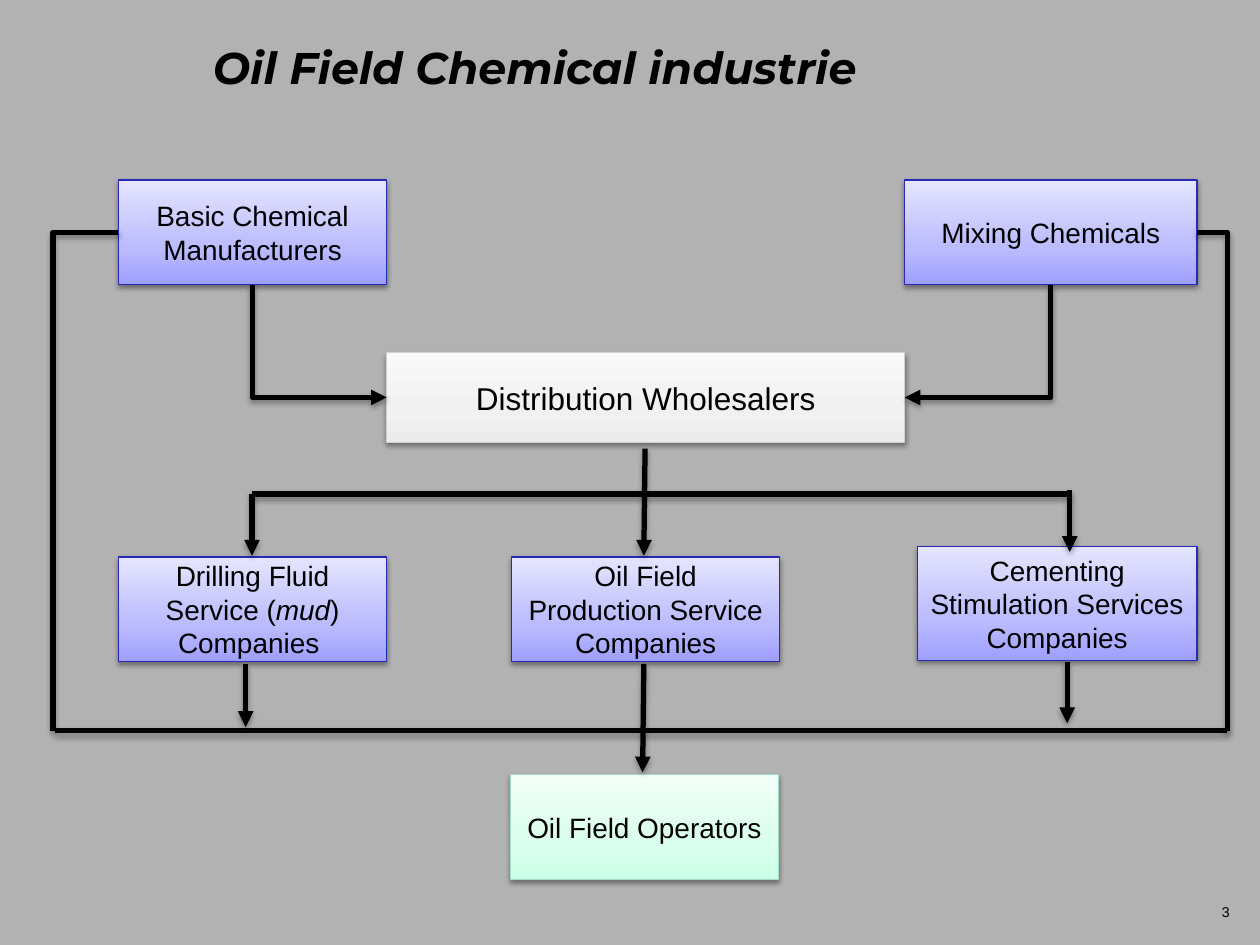
"""Build a flow chart slide of the oil field chemical supply chain."""
from copy import deepcopy

from lxml import etree
from pptx import Presentation
from pptx.dml.color import RGBColor
from pptx.enum.shapes import MSO_CONNECTOR, MSO_SHAPE
from pptx.enum.text import MSO_ANCHOR, PP_ALIGN
from pptx.oxml.ns import qn
from pptx.util import Inches, Pt

RECTANGLE = MSO_SHAPE.RECTANGLE
STRAIGHT, ELBOW = MSO_CONNECTOR.STRAIGHT, MSO_CONNECTOR.ELBOW
TOP, MIDDLE = MSO_ANCHOR.TOP, MSO_ANCHOR.MIDDLE
LEFT, CENTER, RIGHT = PP_ALIGN.LEFT, PP_ALIGN.CENTER, PP_ALIGN.RIGHT
SITE_LEFT, SITE_BOTTOM, SITE_RIGHT = 1, 2, 3

BLACK = RGBColor(0x00, 0x00, 0x00)
GREY = RGBColor(0xB2, 0xB2, 0xB2)
STOPS = (0, 0.35, 1)
BLUE_BOX = ("9F9FFF", "BBBBFF", "E5E5FF"), RGBColor(0x29, 0x29, 0xB8)
WHITE_BOX = ("EBEBEB", "F1F1F1", "F9F9F9"), RGBColor(0xD0, 0xD0, 0xD0)
GREEN_BOX = ("CCFFE8", "DAFFEE", "F1FFF8"), RGBColor(0xA5, 0xDE, 0xC6)

WIDTH, HEIGHT = 10, 7.5
BOX_WIDTH, BOX_HEIGHT = 2.13, 0.83
COLUMN_1, COLUMN_2, COLUMN_3 = 0.94, 4.06, 7.18
RIGHT_EDGE = 9.5
MAKERS, WHOLESALE, SERVICES, OPERATORS = 1.43, 2.8, 4.42, 6.15
SERVICES_END = SERVICES + BOX_HEIGHT
BRANCH, COLLECTOR = 3.92, 5.8
RAIL_LEFT, RAIL_RIGHT = 0.42, 9.74

TITLE = [("Oil Field Chemical industrie", {"bold": True, "italic": True})]
TEXTS = [
    (TITLE, (1.58, 0.08, 8.16, 0.9), LEFT, MIDDLE, "Montserrat", 25.3),
    ([("3", {})], (7.79, 7.11, 2.08, 0.39), RIGHT, TOP, "Arial", 8.1),
]
MUD = [("Drilling Fluid Service (", {}), ("mud", {"italic": True}), (") Companies ", {})]
BOXES = {
    "wholesalers": ([("Distribution Wholesalers", {})],
                    (COLUMN_1 + BOX_WIDTH, WHOLESALE, 4.11, 0.71), WHITE_BOX, 18),
    "basic": ([("Basic Chemical Manufacturers", {})],
              (COLUMN_1, MAKERS, BOX_WIDTH, BOX_HEIGHT), BLUE_BOX, 16),
    "mixing": ([("Mixing Chemicals", {})],
               (COLUMN_3, MAKERS, RIGHT_EDGE - COLUMN_3, BOX_HEIGHT), BLUE_BOX, 16),
    "drilling": (MUD, (COLUMN_1, SERVICES, BOX_WIDTH, BOX_HEIGHT), BLUE_BOX, 16),
    "production": ([("Oil Field Production Service Companies", {})],
                   (COLUMN_2, SERVICES, BOX_WIDTH, BOX_HEIGHT), BLUE_BOX, 16),
    "cementing": ([("Cementing Stimulation Services Companies", {})],
                  (7.28, 4.34, 2.22, 0.9), BLUE_BOX, 16),
    "operators": ([("Oil Field Operators", {})],
                  (4.05, OPERATORS, BOX_WIDTH, BOX_HEIGHT), GREEN_BOX, 16),
}
LINES = [
    ((5.12, 3.56), (5.11, 4.41), "tailEnd"),
    ((5.11, 5.27), (5.1, 6.13), "tailEnd"),
    ((2, BRANCH), (8.49, BRANCH), None),
    ((2, BRANCH), (2, 4.41), "tailEnd"),
    ((8.49, 3.89), (8.49, 4.38), "tailEnd"),
    ((8.47, SERVICES_END), (8.47, 5.74), "tailEnd"),
    ((1.95, 5.27), (1.95, 5.77), "tailEnd"),
    ((0.44, COLLECTOR), (RAIL_RIGHT, COLLECTOR), None),
]
ELBOWS = [
    ("wholesalers", SITE_LEFT, "basic", SITE_BOTTOM),
    ("wholesalers", SITE_RIGHT, "mixing", SITE_BOTTOM),
]
RAILS = [("basic", SITE_LEFT, RAIL_LEFT), ("mixing", SITE_RIGHT, RAIL_RIGHT)]


def add_shadow(item, opacity, distance):
    properties = item._element.spPr
    effects = etree.SubElement(properties, qn("a:effectLst"))
    shadow = etree.SubElement(effects, qn("a:outerShdw"), blurRad=str(Pt(3.1)),
                              dist=str(Pt(distance)), dir="5400000", rotWithShape="0")
    color = etree.SubElement(shadow, qn("a:srgbClr"), val=str(BLACK))
    etree.SubElement(color, qn("a:alpha"), val=str(opacity * 1000))


def write(frame, spans, align, anchor, font, size):
    frame.word_wrap = True
    frame.vertical_anchor = anchor
    para = frame.paragraphs[0]
    para.alignment = align
    for words, extra in spans:
        span = para.add_run()
        span.text = words
        span.font.color.rgb = BLACK
        for name, value in {"name": font, "size": Pt(size), **extra}.items():
            setattr(span.font, name, value)


def add_text(page, spans, place, align, anchor, font, size):
    frame = page.shapes.add_textbox(*map(Inches, place)).text_frame
    margins = {"margin_left": 0.11, "margin_right": 0.11,
               "margin_top": 0.06, "margin_bottom": 0.06}
    for name, value in margins.items():
        setattr(frame, name, Inches(value))
    write(frame, spans, align, anchor, font, size)


def add_box(page, spans, place, style, size):
    colors, border = style
    box = page.shapes.add_shape(RECTANGLE, *map(Inches, place))
    box.fill.gradient()
    box.fill.gradient_angle = 90
    first = box.fill._fill._gradFill.gsLst[0]
    first.addnext(deepcopy(first))
    for stop, position, color in zip(box.fill.gradient_stops, STOPS, colors):
        stop.position = position
        stop.color.rgb = RGBColor.from_string(color)
    box.line.color.rgb = border
    box.line.width = Pt(0.75)
    add_shadow(box, 38, 1.6)
    write(box.text_frame, spans, CENTER, MIDDLE, "Arial", size)
    return box


def add_line(page, kind, start, end, arrow=None):
    line = page.shapes.add_connector(kind, *map(Inches, start + end))
    line.line.color.rgb = BLACK
    line.line.width = Pt(3)
    if arrow:
        etree.SubElement(line.line._get_or_add_ln(), qn("a:" + arrow), type="triangle")
    if kind == ELBOW:
        line._element.spPr.find(qn("a:prstGeom")).set("prst", "bentConnector2")
    add_shadow(line, 35, 1.8)
    return line


def site_point(name, site):
    left, top, width, height = BOXES[name][1]
    return {SITE_LEFT: (left, top + height / 2),
            SITE_BOTTOM: (left + width / 2, top + height),
            SITE_RIGHT: (left + width, top + height / 2)}[site]


def main():
    deck = Presentation()
    deck.slide_width, deck.slide_height = Inches(WIDTH), Inches(HEIGHT)
    page = deck.slides.add_slide(deck.slide_layouts[6])
    page.background.fill.solid()
    page.background.fill.fore_color.rgb = GREY
    for text in TEXTS:
        add_text(page, *text)
    boxes = {name: add_box(page, *box) for name, box in BOXES.items()}
    for start, end, arrow in LINES:
        add_line(page, STRAIGHT, start, end, arrow)
    for target, target_site, source, source_site in ELBOWS:
        line = add_line(page, ELBOW, site_point(target, target_site),
                        site_point(source, source_site), "headEnd")
        line.begin_connect(boxes[target], target_site)
        line.end_connect(boxes[source], source_site)
    for source, site, rail in RAILS:
        line = add_line(page, ELBOW, site_point(source, site), (rail, COLLECTOR))
        line.begin_connect(boxes[source], site)
    deck.save("out.pptx")


if __name__ == "__main__":
    main()
